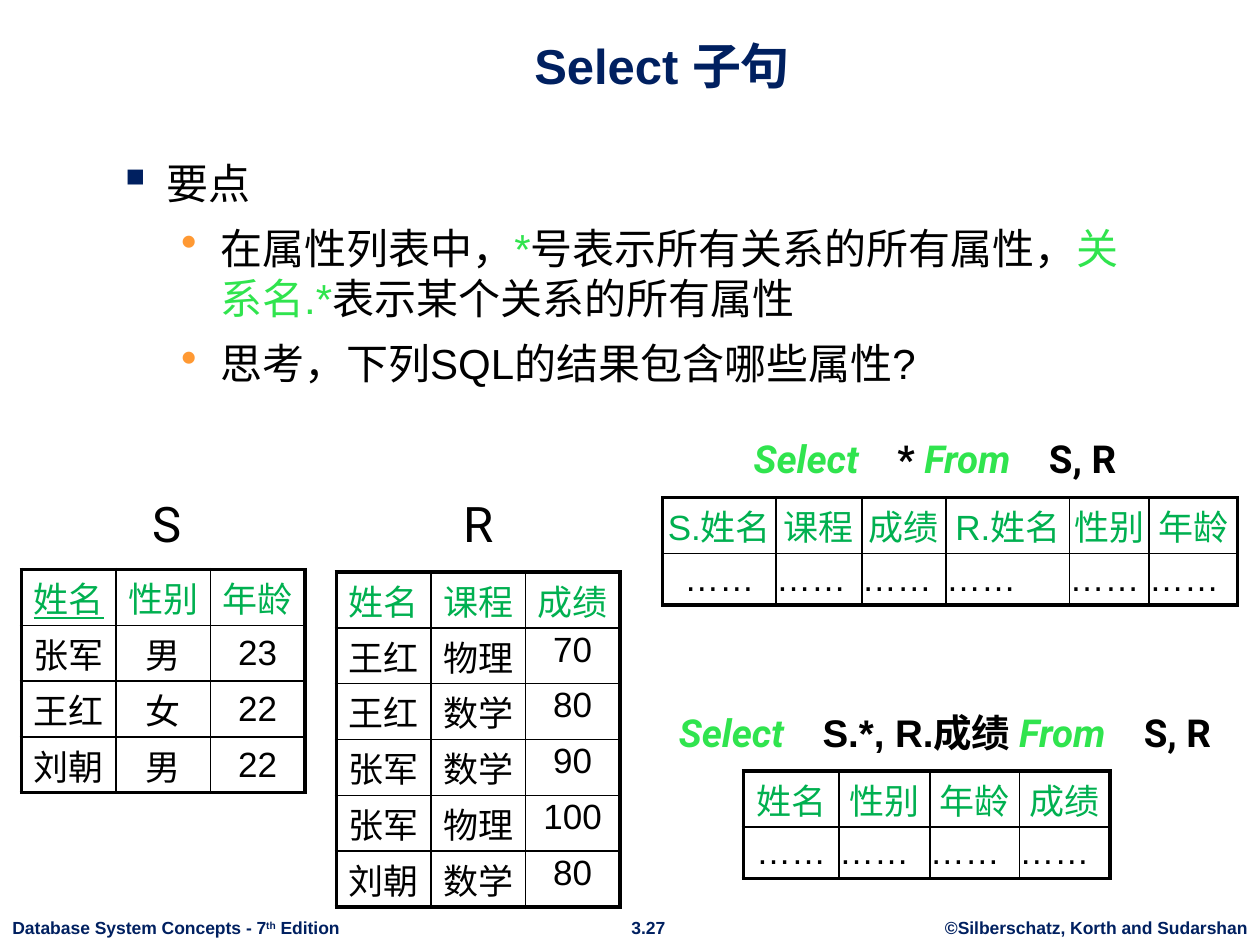
from dataclasses import dataclass

from pptx import Presentation
from pptx.dml.color import RGBColor as Rgb
from pptx.enum.text import MSO_ANCHOR as Anchor, MSO_AUTO_SIZE as AutoSize, PP_ALIGN as Align
from pptx.oxml import parse_xml
from pptx.oxml.ns import nsdecls
from pptx.util import Inches, Pt


@dataclass(frozen=True)
class Theme:
    navy: str = "002060"
    black: str = "000000"
    white: str = "FFFFFF"
    keyword: str = "30E44E"
    header: str = "00B050"
    orange: str = "FF9933"
    font: str = "Arial"
    query_font: str = "Roboto"
    title_size: int = 28
    body_size: int = 24
    query_size: int = 22
    table_size: int = 20
    footer_size: int = 10
    outer_line: float = 2.25
    inner_line: float = 1


THEME = Theme()

# Formats of runs
FOOTER = dict(name=THEME.font, size=THEME.footer_size, color=THEME.navy, bold=True)
TITLE = dict(name=THEME.font, size=THEME.title_size, color=THEME.navy, bold=True)
BODY = dict(name=THEME.font, size=THEME.body_size, color=THEME.black)
STAR = BODY | dict(color=THEME.keyword)
CAPTION = dict(name=THEME.query_font, size=THEME.title_size, color=THEME.black)
QUERY = dict(name=THEME.query_font, size=THEME.query_size, color=THEME.black, bold=True)
KEYWORD = QUERY | dict(color=THEME.keyword, italic=True)
CELL = dict(name=THEME.font, size=THEME.table_size, color=THEME.black)
HEADER = CELL | dict(color=THEME.header)

# Single lines: box, runs, paragraph format, frame format
CENTER = dict(alignment=Align.CENTER)
QUERY_LINE = CENTER | dict(line_spacing=1.15)
NO_WRAP = dict(word_wrap=False)
LINES = [
    ((7.4, 7.23, 2.6, 0.27), [("©Silberschatz, Korth and Sudarshan", FOOTER)], CENTER, NO_WRAP),
    ((4.9, 7.23, 0.49, 0.27), [("3.27", FOOTER)], CENTER, NO_WRAP),
    ((0, 7.23, 2.81, 0.27),
     [("Database System Concepts - 7", FOOTER), ("th", FOOTER | dict(baseline=30000)),
      (" Edition", FOOTER)], {}, NO_WRAP),
    ((0.84, 0.13, 8.83, 0.67), [("Select 子句", TITLE)], CENTER,
     dict(vertical_anchor=Anchor.BOTTOM)),
    ((4.92, 3.35, 5, 0.52),
     [("Select", KEYWORD), ("　* ", QUERY), ("From　", KEYWORD), ("S, R", QUERY)],
     QUERY_LINE, {}),
    ((5, 5.52, 5, 0.52),
     [("Select　", KEYWORD), ("S.*, R.成绩 ", QUERY | dict(name=THEME.font)),
      ("From　", KEYWORD), ("S, R", QUERY)], QUERY_LINE, {}),
    ((1.11, 3.87, 0.42, 0.57), [("S", CAPTION)], {}, NO_WRAP),
    ((3.17, 3.87, 1.25, 0.57), [("R", CAPTION)], CENTER, {}),
]

# Bulleted points: level, runs
POINTS_BOX = (0.84, 1.2, 8.43, 5.36)
POINTS = [
    (0, [("要点", BODY)]),
    (1, [("在属性列表中，", BODY), ("*", STAR), ("号表示所有关系的所有属性，", BODY),
         ("关系名.*", STAR), ("表示某个关系的所有属性", BODY)]),
    (1, [("思考，下列SQL的结果包含哪些属性?", BODY)]),
]
# Per level: character, colour, left margin, hanging indent
BULLETS = [("▪", THEME.navy, 0.38, 0.38), ("•", THEME.orange, 0.81, 0.31)]

# Tables: position, column widths, side margin, anchor, rows
ROW_HEIGHT = 0.41
ELLIPSIS = "……"
TABLES = [
    dict(at=(0.17, 4.52), columns=[0.75] * 3, margin=0.04, anchor=Anchor.MIDDLE, key="姓名",
         rows=[("姓名", "性别", "年龄"), ("张军", "男", "23"),
               ("王红", "女", "22"), ("刘朝", "男", "22")]),
    dict(at=(2.67, 4.54), columns=[0.75] * 3, margin=0.04, anchor=Anchor.TOP, key=None,
         rows=[("姓名", "课程", "成绩"), ("王红", "物理", "70"), ("王红", "数学", "80"),
               ("张军", "数学", "90"), ("张军", "物理", "100"), ("刘朝", "数学", "80")]),
    dict(at=(5.26, 3.95), columns=[0.9, 0.68, 0.67, 0.98, 0.63, 0.7], margin=0,
         anchor=Anchor.MIDDLE, key=None,
         rows=[("S.姓名", "课程", "成绩", "R.姓名", "性别", "年龄"), (ELLIPSIS,) * 6]),
    dict(at=(5.9, 6.12), columns=[0.76, 0.72, 0.71, 0.72], margin=0,
         anchor=Anchor.MIDDLE, key=None,
         rows=[("姓名", "性别", "年龄", "成绩"), (ELLIPSIS,) * 4]),
]


def apply(target, values):
    for name, value in values.items():
        setattr(target, name, value)


def add_runs(paragraph, runs):
    for text, style in runs:
        run = paragraph.add_run()
        run.text = text
        values = dict(style)
        run.font.color.rgb = Rgb.from_string(values.pop("color"))
        run.font.size = Pt(values.pop("size"))
        baseline = values.pop("baseline", None)
        if baseline:
            run._r.get_or_add_rPr().set("baseline", str(baseline))
        apply(run.font, values)


def add_text_frame(slide, box, values):
    frame = slide.shapes.add_textbox(*map(Inches, box)).text_frame
    apply(frame, dict(word_wrap=True, auto_size=AutoSize.NONE) | values)
    return frame


def add_bullet(paragraph, level):
    character, color, left, hanging = BULLETS[level]
    properties = paragraph._p.get_or_add_pPr()
    properties.set("marL", str(Inches(left)))
    properties.set("indent", str(-Inches(hanging)))
    for xml in (f'<a:buClr {nsdecls("a")}><a:srgbClr val="{color}"/></a:buClr>',
                f'<a:buSzPct {nsdecls("a")} val="110000"/>',
                f'<a:buChar {nsdecls("a")} char="{character}"/>'):
        properties.append(parse_xml(xml))


def set_borders(cell, outer_sides):
    properties = cell._tc.get_or_add_tcPr()
    for index, side in enumerate("LRTB"):
        width = THEME.outer_line if side in outer_sides else THEME.inner_line
        properties.insert(index, parse_xml(
            f'<a:ln{side} {nsdecls("a")} w="{Pt(width)}"><a:solidFill>'
            f'<a:srgbClr val="{THEME.black}"/></a:solidFill></a:ln{side}>'))


def add_table(slide, at, columns, margin, anchor, key, rows):
    last_row, last_column = len(rows) - 1, len(columns) - 1
    size = (sum(columns), ROW_HEIGHT * len(rows))
    table = slide.shapes.add_table(len(rows), len(columns), *map(Inches, at + size)).table
    apply(table, dict(first_row=False, horz_banding=False))
    for column, width in zip(table.columns, columns):
        column.width = Inches(width)
    for i, texts in enumerate(rows):
        table.rows[i].height = Inches(ROW_HEIGHT)
        for j, text in enumerate(texts):
            cell = table.cell(i, j)
            apply(cell, dict(
                vertical_anchor=anchor, margin_left=Inches(margin), margin_right=Inches(margin),
                margin_top=Inches(0.02), margin_bottom=Inches(0.02)))
            cell.fill.solid()
            cell.fill.fore_color.rgb = Rgb.from_string(THEME.white)
            at_edge = dict(L=j == 0, R=j == last_column, T=i == 0, B=i == last_row)
            set_borders(cell, [side for side, edge in at_edge.items() if edge])
            paragraph = cell.text_frame.paragraphs[0]
            paragraph.alignment = Align.LEFT if text == ELLIPSIS and j else Align.CENTER
            style = CELL if i else HEADER
            if i == 0 and text == key:
                style = style | dict(underline=True)
            add_runs(paragraph, [(text, style)])


def main():
    presentation = Presentation()
    presentation.slide_width, presentation.slide_height = Inches(10), Inches(7.5)
    slide = presentation.slides.add_slide(presentation.slide_layouts[6])

    # Footer, title, queries and table captions
    for box, runs, paragraph_format, frame_format in LINES:
        paragraph = add_text_frame(slide, box, frame_format).paragraphs[0]
        apply(paragraph, paragraph_format)
        add_runs(paragraph, runs)

    # Key points
    frame = add_text_frame(slide, POINTS_BOX, {})
    for index, (level, runs) in enumerate(POINTS):
        paragraph = frame.add_paragraph() if index else frame.paragraphs[0]
        paragraph.level = level
        if index:
            paragraph.space_before = Pt(0.35 * THEME.body_size)
        add_bullet(paragraph, level)
        add_runs(paragraph, runs)

    # Relations and query results
    for table in TABLES:
        add_table(slide, **table)

    presentation.save("out.pptx")


if __name__ == "__main__":
    main()
